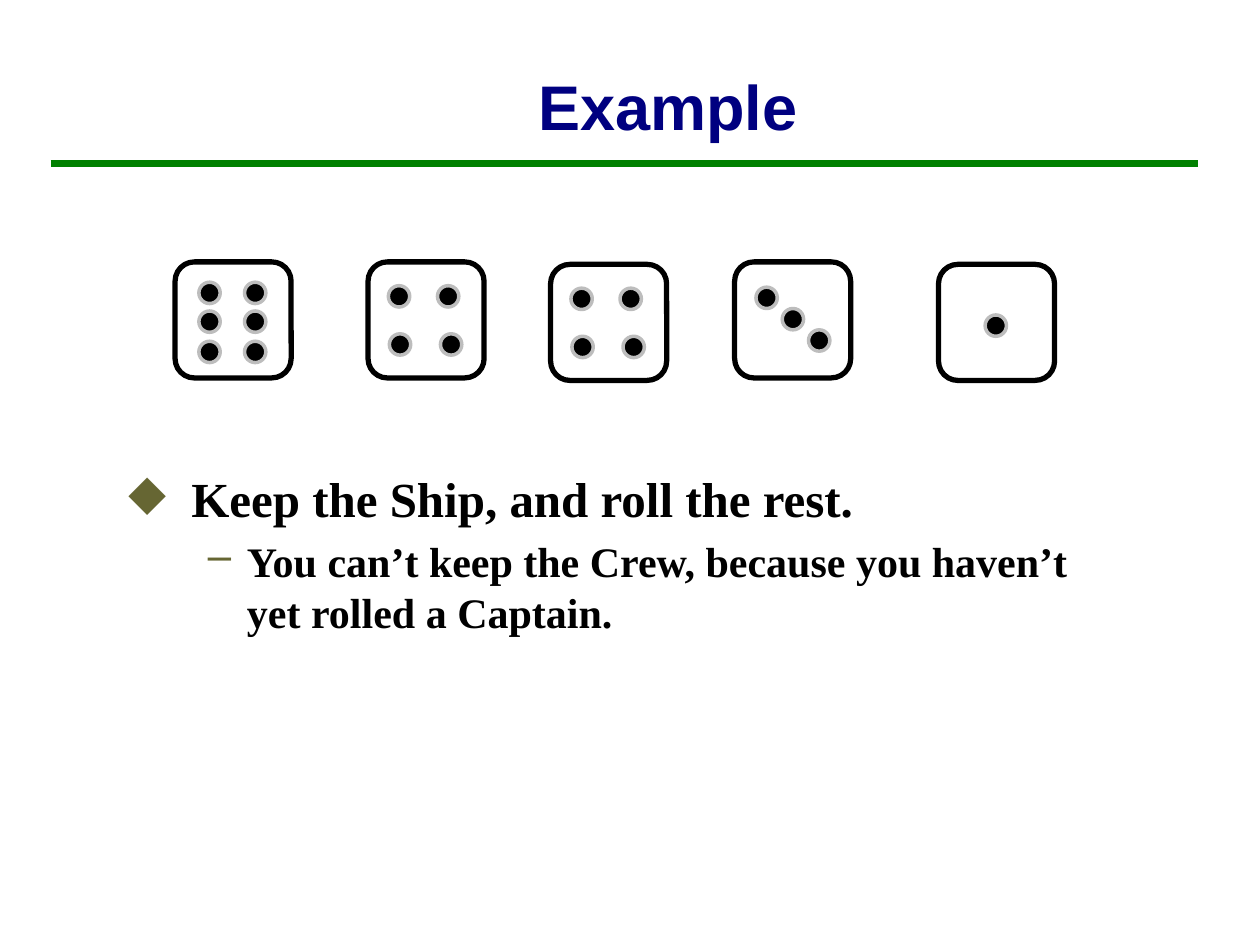
"""Build the dice example slide."""
from dataclasses import dataclass

import pptx
import pptx.dml.color
import pptx.enum.shapes
import pptx.enum.text
import pptx.oxml
import pptx.oxml.ns
import pptx.util

Cm = pptx.util.Cm
Pt = pptx.util.Pt
SHAPES = pptx.enum.shapes.MSO_SHAPE
ALIGN = pptx.enum.text.PP_ALIGN
ANCHOR = pptx.enum.text.MSO_ANCHOR
COLORS = {"title": "000080", "rule": "008000", "bullet": "666633",
          "ink": "000000", "face": "FFFFFF", "rim": "BDBDBD"}
DIE_SIZE, PIP_SIZE = 2.34, 0.43
SIX = [(x, y) for x in (0.48, 1.4) for y in (0.41, 0.99, 1.6)]
FOUR = [(0.41, 0.48), (1.4, 0.48), (0.43, 1.45), (1.46, 1.45)]
THREE = [(0.43 + 0.53 * step, 0.51 + 0.43 * step) for step in range(3)]
ONE = [(0.94, 1.02)]


@dataclass(frozen=True)
class Die:
    left: float
    top: float
    pips: list[tuple[float, float]]


@dataclass(frozen=True)
class Point:
    text: str
    size: int
    level: int
    margin: float
    hanging: float
    bullet: str


DICE = [Die(3.53, 5.28, SIX), Die(7.42, 5.28, FOUR), Die(11.1, 5.33, FOUR),
        Die(14.81, 5.28, THREE), Die(18.92, 5.33, ONE)]
POINTS = [
    Point("Keep the Ship, and roll the rest.", 28, 0, 1.27, 1.27, "◆"),
    Point("You can’t keep the Crew, because you haven’t yet rolled a Captain.",
          24, 1, 2.39, 0.79, "–"),
]


def rgb(name: str) -> pptx.dml.color.RGBColor:
    return pptx.dml.color.RGBColor.from_string(COLORS[name])


def add_frame(slide, left: float, top: float, width: float, height: float, anchor):
    frame = slide.shapes.add_textbox(Cm(left), Cm(top), Cm(width), Cm(height)).text_frame
    frame.word_wrap = True
    frame.vertical_anchor = anchor
    return frame


def write(paragraph, text: str, *, font: str, size: int, color: str, align=ALIGN.LEFT) -> None:
    paragraph.alignment = align
    run = paragraph.add_run()
    run.text = text
    run.font.name, run.font.size, run.font.bold = font, Pt(size), True
    run.font.color.rgb = rgb(color)


def add_bullet(paragraph, point: Point) -> None:
    paragraph.level = point.level
    paragraph.space_before = Pt(point.size * 0.2)
    properties = paragraph._p.get_or_add_pPr()
    properties.set("marL", str(Cm(point.margin)))
    properties.set("indent", str(-Cm(point.hanging)))
    namespace = pptx.oxml.ns.nsdecls("a")
    for xml in (
        f'<a:buClr {namespace}><a:srgbClr val="{COLORS["bullet"]}"/></a:buClr>',
        f'<a:buChar {namespace} char="{point.bullet}"/>',
    ):
        properties.append(pptx.oxml.parse_xml(xml))


def add_piece(group, kind, left: float, top: float, size: float,
              fill: str, line: str, weight: float) -> None:
    piece = group.shapes.add_shape(kind, Cm(left), Cm(top), Cm(size), Cm(size))
    piece.shadow.inherit = False
    piece.fill.solid()
    piece.fill.fore_color.rgb = rgb(fill)
    piece.line.color.rgb = rgb(line)
    piece.line.width = Pt(weight)


def add_die(slide, die: Die) -> None:
    group = slide.shapes.add_group_shape()
    add_piece(group, SHAPES.ROUNDED_RECTANGLE, die.left, die.top, DIE_SIZE, "face", "ink", 3)
    for x, y in die.pips:
        add_piece(group, SHAPES.OVAL, die.left + x, die.top + y, PIP_SIZE, "ink", "rim", 2)


def add_rule(slide) -> None:
    rule = slide.shapes.add_connector(
        pptx.enum.shapes.MSO_CONNECTOR.STRAIGHT, Cm(1.02), Cm(3.3), Cm(24.16), Cm(3.3))
    rule.line.color.rgb = rgb("rule")
    rule.line.width = Pt(4)
    rule._element.spPr.append(
        pptx.oxml.parse_xml(f'<a:effectLst {pptx.oxml.ns.nsdecls("a")}/>'))


def main() -> None:
    deck = pptx.Presentation()
    deck.slide_width, deck.slide_height = Cm(25.4), Cm(19.05)
    slide = deck.slides.add_slide(deck.slide_layouts[6])
    add_rule(slide)
    title = add_frame(slide, 4.37, 1.14, 18.19, 1.88, ANCHOR.BOTTOM)
    write(title.paragraphs[0], "Example", font="Arial", size=36, color="title",
          align=ALIGN.CENTER)
    body = add_frame(slide, 2.34, 9.32, 19.89, 11.43 - 2.0, ANCHOR.TOP)
    for index, point in enumerate(POINTS):
        paragraph = body.add_paragraph() if index else body.paragraphs[0]
        add_bullet(paragraph, point)
        write(paragraph, point.text, font="Times New Roman", size=point.size, color="ink")
    for die in DICE:
        add_die(slide, die)
    deck.save("out.pptx")


main()
